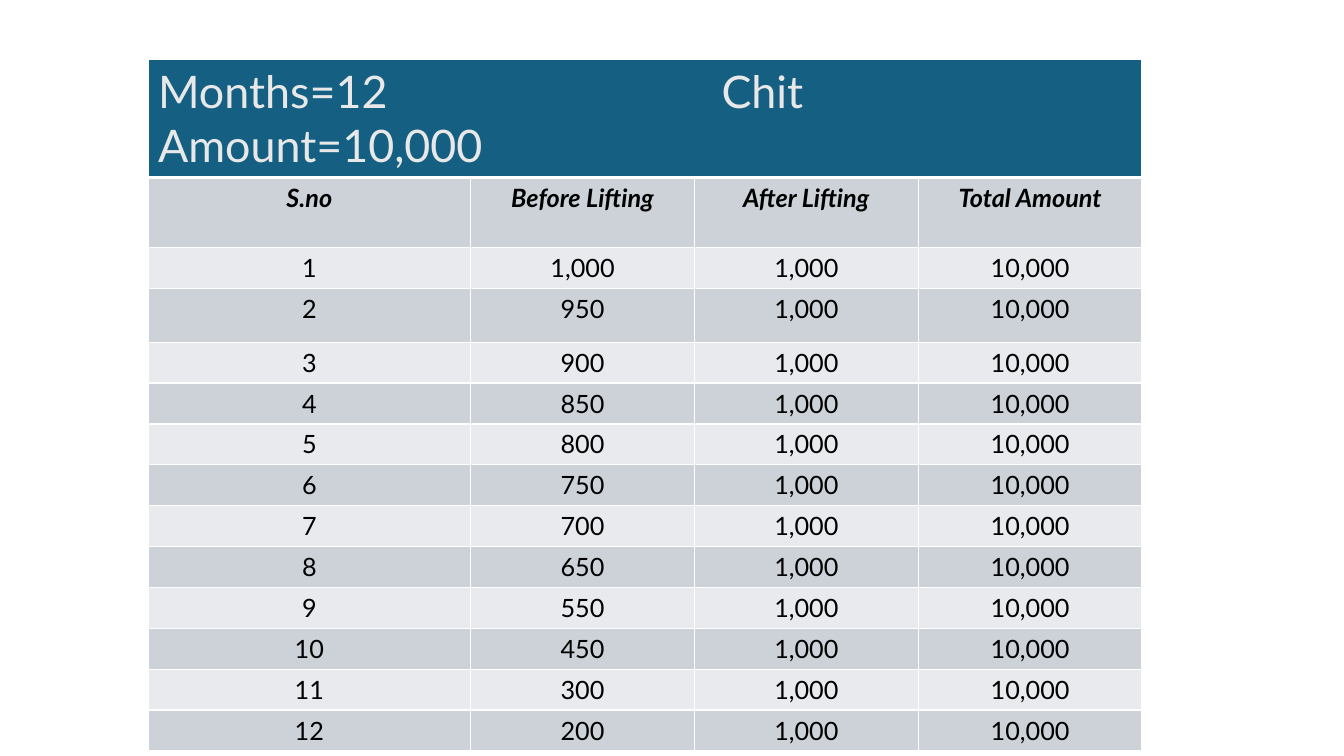
from lxml.etree import SubElement
from pptx import Presentation
from pptx.dml.color import RGBColor
from pptx.enum.text import PP_ALIGN
from pptx.oxml.ns import qn
from pptx.util import Cm, Pt

COLORS = {
    "header": "156082",
    "header_text": "E8E8E8",
    "dark_band": "CCD2D8",
    "light_band": "E8EAED",
    "text": "000000",
    "border": "FFFFFF",
}
FORMATS = {
    "header": {"name": "Lato", "size": Pt(32), "bold": False},
    "heading": {"name": "Lato", "size": Pt(18), "bold": True, "italic": True},
    "body": {"name": "Lato", "size": Pt(18), "bold": False, "italic": False},
}
HEADINGS = ["S.no", "Before Lifting", "After Lifting", "Total Amount"]
BEFORE_LIFTING = ["1,000", "950", "900", "850", "800", "750",
                  "700", "650", "550", "450", "300", "200"]


class ChitPage:
    def __init__(self, deck):
        self.page = deck.slides.add_slide(deck.slide_layouts[6])

    def add_grid(self, left, top, widths, heights):
        frame = self.page.shapes.add_table(
            len(heights), len(widths), Cm(left), Cm(top),
            Cm(sum(widths)), Cm(sum(heights)))
        table = frame.table
        for column, width in zip(table.columns, widths):
            column.width = Cm(width)
        for row, height in zip(table.rows, heights):
            row.height = Cm(height)
        return table

    def add_borders(self, cell, top=1, bottom=1):
        properties = cell._tc.get_or_add_tcPr()
        for side, points in {"L": 1, "R": 1, "T": top, "B": bottom}.items():
            line = SubElement(properties, qn(f"a:ln{side}"), w=str(Pt(points)))
            fill = SubElement(line, qn("a:solidFill"))
            SubElement(fill, qn("a:srgbClr"), val=COLORS["border"])

    def fill_cell(self, cell, color):
        cell.fill.solid()
        cell.fill.fore_color.rgb = RGBColor.from_string(COLORS[color])

    def add_text(self, cell, text, style, color, align=PP_ALIGN.CENTER,
                 tab=None):
        para = cell.text_frame.paragraphs[0]
        para.alignment = align
        if tab:
            stops = SubElement(para._p.get_or_add_pPr(), qn("a:tabLst"))
            SubElement(stops, qn("a:tab"), pos=str(Cm(tab)), algn="l")
        span = para.add_run()
        span.text = text
        for key, value in FORMATS[style].items():
            setattr(span.font, key, value)
        span.font.color.rgb = RGBColor.from_string(COLORS[color])


def main():
    deck = Presentation()
    deck.slide_width, deck.slide_height = Cm(33.87), Cm(19.05)
    chit = ChitPage(deck)

    # Grid
    heights = [2.96, 1.76, 1.03, 1.36] + [1.03] * 10
    table = chit.add_grid(3.73, 1.5, [8.13] + [5.64] * 3, heights)

    # Header across all columns
    for cell in table.rows[0].cells:
        chit.add_borders(cell, bottom=3)
        chit.fill_cell(cell, "header")
    header = table.cell(0, 0)
    header.merge(table.cell(0, 3))
    chit.add_text(header, "Months=12\tChit Amount=10,000", "header",
                  "header_text", PP_ALIGN.LEFT, tab=14.2)

    # Headings and monthly amounts in alternating bands
    months = [[str(month), amount, "1,000", "10,000"]
              for month, amount in enumerate(BEFORE_LIFTING, 1)]
    for row, values in enumerate([HEADINGS] + months, 1):
        band = "dark_band" if row % 2 else "light_band"
        style = "heading" if row == 1 else "body"
        for column, value in enumerate(values):
            cell = table.cell(row, column)
            chit.add_borders(cell, top=3 if row == 1 else 1)
            chit.fill_cell(cell, band)
            chit.add_text(cell, value, style, "text")

    deck.save("out.pptx")


if __name__ == "__main__":
    main()
